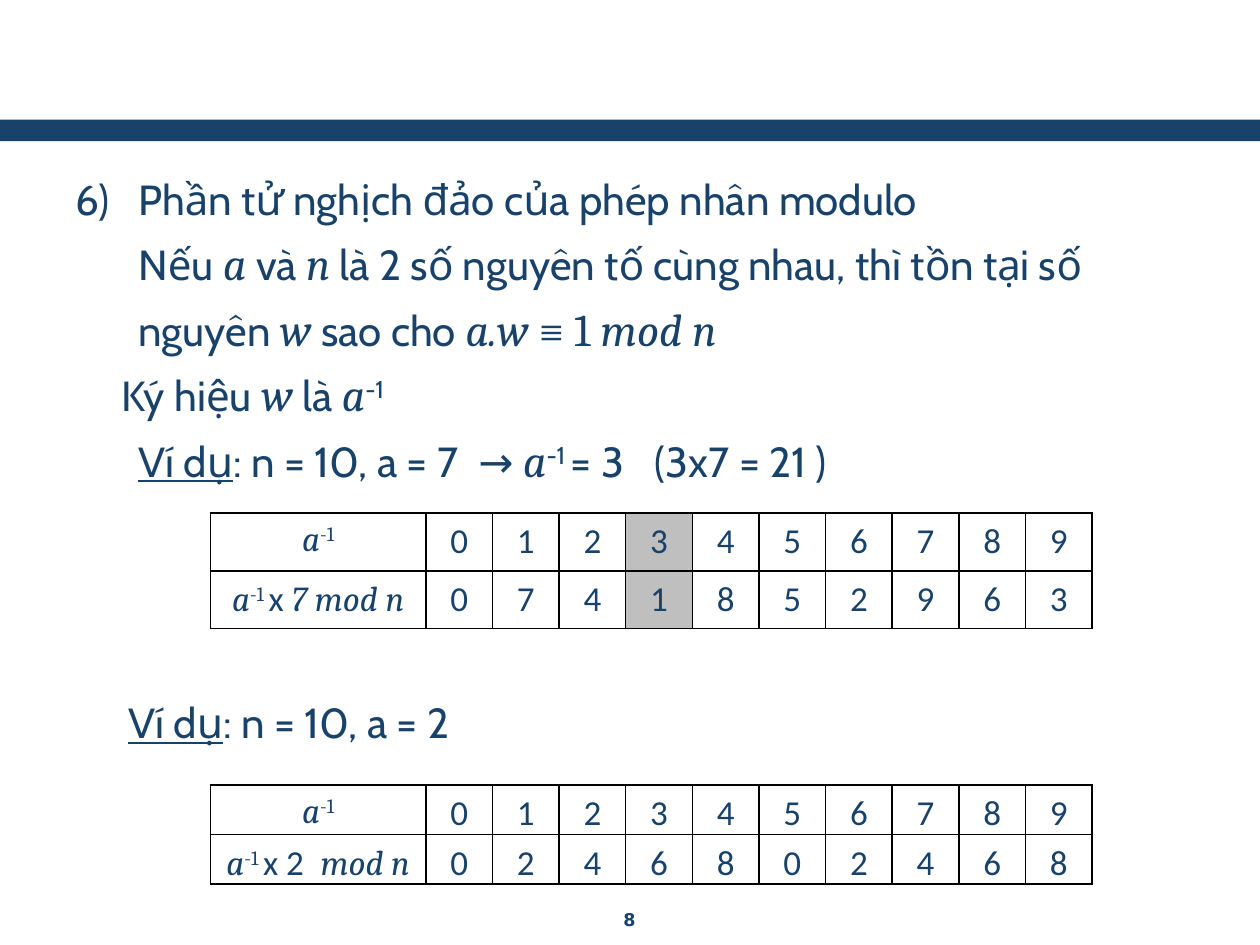
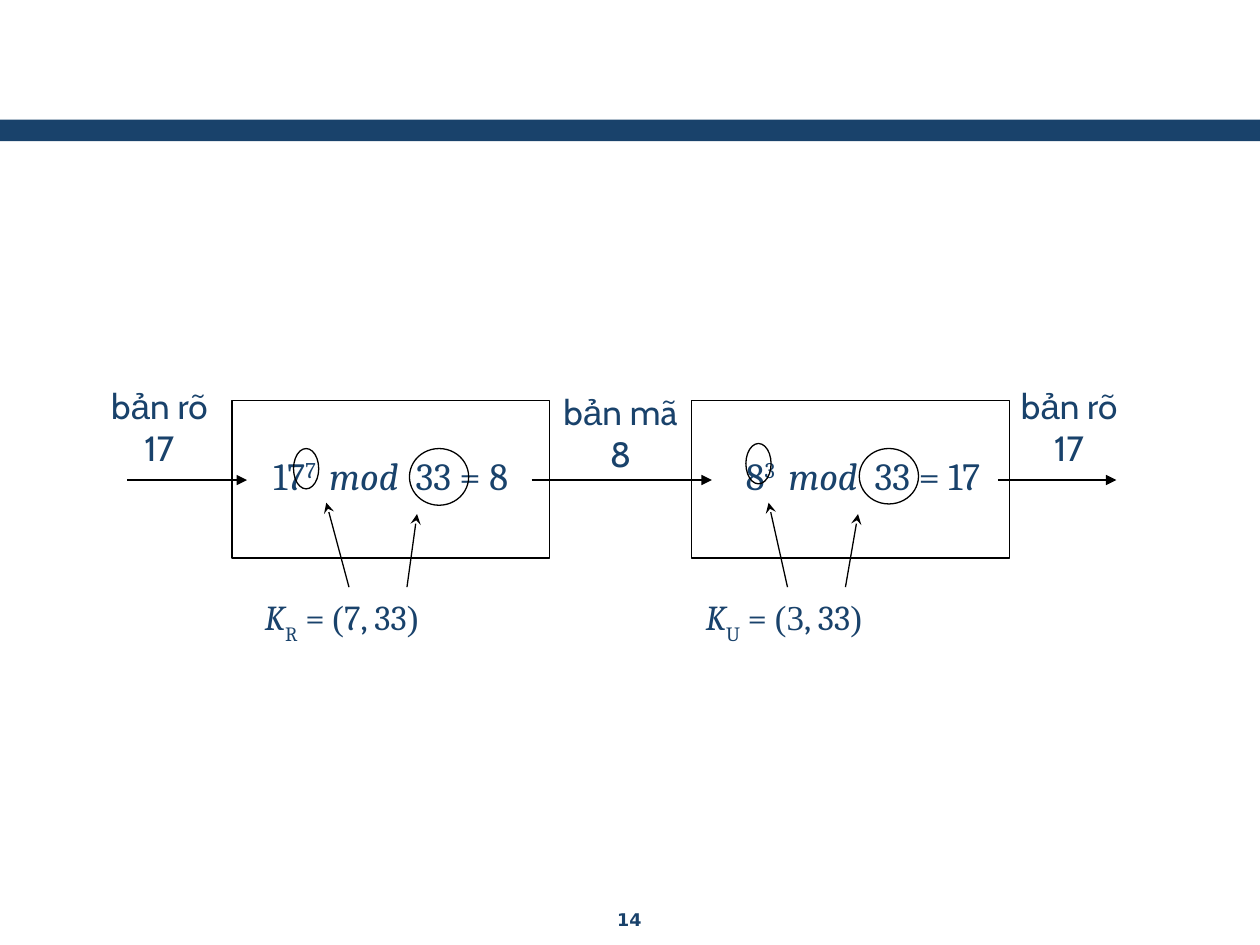
from lxml import etree
from pptx import Presentation
from pptx.dml.color import RGBColor
from pptx.enum.shapes import MSO_CONNECTOR, MSO_SHAPE
from pptx.enum.text import MSO_ANCHOR, PP_ALIGN
from pptx.oxml.ns import qn
from pptx.util import Inches, Pt

NAVY = RGBColor(0x19, 0x42, 0x6B)
WHITE = RGBColor(0xFF, 0xFF, 0xFF)
BLACK = RGBColor(0x00, 0x00, 0x00)
GREY = RGBColor(0xBF, 0xBF, 0xBF)
LEFT, CENTER = PP_ALIGN.LEFT, PP_ALIGN.CENTER
TOP, MIDDLE = MSO_ANCHOR.TOP, MSO_ANCHOR.MIDDLE
RECTANGLE, OVAL = MSO_SHAPE.RECTANGLE, MSO_SHAPE.OVAL
STRAIGHT = MSO_CONNECTOR.STRAIGHT

WIDTH, HEIGHT = 10, 7.5
BLANK_LAYOUT = 6
THIN = Pt(0.75)

# Run formats
MATH = dict(font="Cambria", size=26)
VARIABLE = dict(MATH, italic=True)
ITALIC = dict(font="Cambria", italic=True)
SERIF = dict(font="Times New Roman")
UNDERLINED = dict(underline=True)
RAISED = dict(raised=30)
LOWERED = dict(raised=-30)


def write(frame, *runs, font="Cabin", size=24, bold=False, align=LEFT,
          line_spacing=None, indent=0, hanging=0, number_from=None):
    """Add one paragraph; a run is a text or a (text, format) pair."""
    paragraph = frame.paragraphs[0]
    if paragraph.runs:
        paragraph = frame.add_paragraph()
    properties = paragraph._p.get_or_add_pPr()
    properties.set("marL", str(Inches(indent)))
    properties.set("indent", str(-Inches(hanging)))
    if number_from:
        etree.SubElement(properties, qn("a:buAutoNum"),
                         type="arabicParenR", startAt=str(number_from))
    paragraph.alignment = align
    if line_spacing:
        paragraph.line_spacing = line_spacing
    for item in runs:
        text, look = (item, {}) if isinstance(item, str) else item
        run = paragraph.add_run()
        run.text = text
        run.font.name = look.get("font", font)
        run.font.size = Pt(look.get("size", size))
        run.font.bold = bold
        run.font.italic = look.get("italic", False)
        run.font.underline = look.get("underline", False)
        run.font.color.rgb = NAVY
        run_properties = run._r.get_or_add_rPr()
        if "raised" in look:
            run_properties.set("baseline", str(look["raised"] * 1000))
        if "gap" in look:
            run_properties.set("spc", str(look["gap"] * 100))


def add_text_box(slide, left, top, width, height, anchor=TOP):
    box = slide.shapes.add_textbox(*map(Inches, (left, top, width, height)))
    box.text_frame.word_wrap = True
    box.text_frame.vertical_anchor = anchor
    return box.text_frame


presentation = Presentation()
presentation.slide_width, presentation.slide_height = Inches(WIDTH), Inches(HEIGHT)

# Band and page number on every slide
slides = []
for page in ("8", "14"):
    slide = presentation.slides.add_slide(presentation.slide_layouts[BLANK_LAYOUT])
    band = slide.shapes.add_shape(RECTANGLE, 0, Inches(0.95), Inches(WIDTH), Inches(0.17))
    band.shadow.inherit = False
    band.fill.solid()
    band.fill.fore_color.rgb = NAVY
    band.line.fill.background()
    number = add_text_box(slide, 3.83, 7.17, 2.33, 0.26, anchor=MIDDLE)
    write(number, page, font="DejaVu Sans", size=10, bold=True, align=CENTER)
    slides.append(slide)
inverse_slide, cipher_slide = slides

# Multiplicative inverse: explanation
body = add_text_box(inverse_slide, 0.5, 1.25, 9, 2.92)
write(body, "Phần tử nghịch đảo của phép nhân modulo",
      indent=0.5, hanging=0.5, number_from=6, line_spacing=1.2)
write(body, "Nếu ", ("a", VARIABLE), " và ", ("n", VARIABLE),
      " là 2 số nguyên tố cùng nhau, thì tồn tại số nguyên ", ("w", VARIABLE),
      " sao cho ", ("a.w ", VARIABLE), ("≡ 1", MATH), (" mod n", VARIABLE),
      indent=0.5, line_spacing=1.2)
write(body, "Ký hiệu ", ("w", VARIABLE), " là ", ("a", VARIABLE), ("-1", RAISED),
      indent=0.37, line_spacing=1.2)
write(body, ("Ví dụ", UNDERLINED), ": n = 10, a = 7", (" ", dict(gap=6)), "→ ",
      ("a", VARIABLE), ("-1 ", RAISED), "= 3", (" ", dict(gap=12)), "(3x7 = 21 )",
      indent=0.5, line_spacing=1.2)
second_example = add_text_box(inverse_slide, 0.42, 5.4, 4.58, 0.58)
write(second_example, ("Ví dụ", UNDERLINED), ": n = 10, a = 2",
      indent=0.5, line_spacing=1.2)

# Multiplicative inverse: product tables modulo 10
MODULUS = 10
TABLE_LEFT, TABLE_WIDTH, LABEL_WIDTH = 1.67, 7, 1.71
DIGIT_WIDTH = (TABLE_WIDTH - LABEL_WIDTH) / MODULUS
SMALL_RAISED = dict(font="Cambria", raised=30)
INVERSE = [("a", ITALIC), ("-1", SMALL_RAISED)]
PRODUCT = [("a", ITALIC), ("-1 ", SMALL_RAISED)]
product_tables = (
    (7, 4.07, 0.46, PRODUCT + ["x ", ("7 mod n", ITALIC)]),
    (2, 6.23, 0.385, PRODUCT + ["x 2", (" ", dict(gap=5)), ("mod n", ITALIC)]),
)
for factor, top, row_height, product_label in product_tables:
    table = inverse_slide.shapes.add_table(
        2, MODULUS + 1, Inches(TABLE_LEFT), Inches(top),
        Inches(TABLE_WIDTH), Inches(2 * row_height)).table
    table.first_row = table.horz_banding = False
    for index, column in enumerate(table.columns):
        column.width = Inches(DIGIT_WIDTH if index else LABEL_WIDTH)
    products = [number * factor % MODULUS for number in range(MODULUS)]
    rows = ([INVERSE] + [[str(number)] for number in range(MODULUS)],
            [product_label] + [[str(product)] for product in products])
    for row_index, row in enumerate(rows):
        table.rows[row_index].height = Inches(row_height)
        for column_index, runs in enumerate(row):
            cell = table.cell(row_index, column_index)
            cell.margin_left = cell.margin_right = Inches(0.07)
            cell.margin_top, cell.margin_bottom = Inches(0.01), 0
            write(cell.text_frame, *runs, font="Calibri", size=20,
                  align=CENTER, line_spacing=1.15)
            cell_properties = cell._tc.get_or_add_tcPr()
            for side in ("lnL", "lnR", "lnT", "lnB"):
                border = etree.SubElement(cell_properties, qn(f"a:{side}"), w=str(Pt(1)))
                fill = etree.SubElement(border, qn("a:solidFill"))
                etree.SubElement(fill, qn("a:srgbClr"), val=str(BLACK))
            is_inverse = column_index > 0 and products[column_index - 1] == 1
            cell.fill.solid()
            cell.fill.fore_color.rgb = GREY if is_inverse else WHITE

# Cipher: encryption and decryption boxes
formulas = (
    (1.84, 0, ["17", ("7", RAISED), (" ", dict(gap=3)), ("mod", ITALIC),
               (" ", dict(gap=5)), "33 = 8"]),
    (5.49, 0.2, ["8", ("3", RAISED), (" ", dict(gap=3)), ("mod", ITALIC),
                 (" ", dict(gap=5)), "33 = 17"]),
)
for left, indent, runs in formulas:
    box = cipher_slide.shapes.add_shape(
        RECTANGLE, Inches(left), Inches(3.18), Inches(2.52), Inches(1.25))
    box.shadow.inherit = False
    box.fill.solid()
    box.fill.fore_color.rgb = WHITE
    box.line.color.rgb = BLACK
    box.line.width = THIN
    box.text_frame.vertical_anchor = MIDDLE
    box.text_frame.margin_bottom = Inches(0.12)
    write(box.text_frame, *runs, font="Cambria", size=22, align=CENTER, indent=indent)

# Cipher: message labels
for left, top, width, ending in ((0.75, 3, 1.03, "n rõ 17"),
                                 (4.36, 3.05, 1.13, "n mã 8"),
                                 (7.97, 3, 1.03, "n rõ 17")):
    label = add_text_box(cipher_slide, left, top, width, 0.79)
    write(label, "b", ("ả", dict(font="Arial")), ending, size=20, align=CENTER)

# Cipher: rings around exponents and moduli
for left, top, width, height in ((2.33, 3.56, 0.2, 0.32), (3.25, 3.56, 0.47, 0.45),
                                 (5.92, 3.52, 0.2, 0.32), (6.82, 3.56, 0.47, 0.44)):
    ring = cipher_slide.shapes.add_shape(OVAL, *map(Inches, (left, top, width, height)))
    ring.shadow.inherit = False
    ring.fill.background()
    ring.line.color.rgb = BLACK
    ring.line.width = THIN

# Cipher: keys
for left, owner, key in ((1.77, "R", [("(", SERIF), "7, 33"]),
                         (5.28, "U", [("(3", SERIF), ", 33"])):
    key_label = add_text_box(cipher_slide, left, 4.68, 1.88, 0.49)
    write(key_label, ("K", ITALIC), (owner, LOWERED), " = ", *key, (")", SERIF),
          font="Cambria", size=20, align=CENTER)

# Cipher: message flow and key arrows
FLOW_ROW, KEY_ROW = 3.81, 4.66
arrows = [(start, FLOW_ROW, end, FLOW_ROW, "triangle")
          for start, end in ((1.01, 1.96), (4.22, 5.65), (7.92, 8.86))]
arrows += [(start, KEY_ROW, end, tip, "stealth")
           for start, end, tip in ((2.77, 2.59, 3.99), (3.23, 3.31, 4.08),
                                   (6.25, 6.1, 3.99), (6.71, 6.81, 4.08))]
for *ends, head in arrows:
    arrow = cipher_slide.shapes.add_connector(STRAIGHT, *map(Inches, ends))
    arrow.line.color.rgb = BLACK
    arrow.line.width = THIN
    etree.SubElement(arrow.line._get_or_add_ln(), qn("a:tailEnd"), type=head)
    etree.SubElement(arrow._element.spPr, qn("a:effectLst"))

presentation.save("out.pptx")
